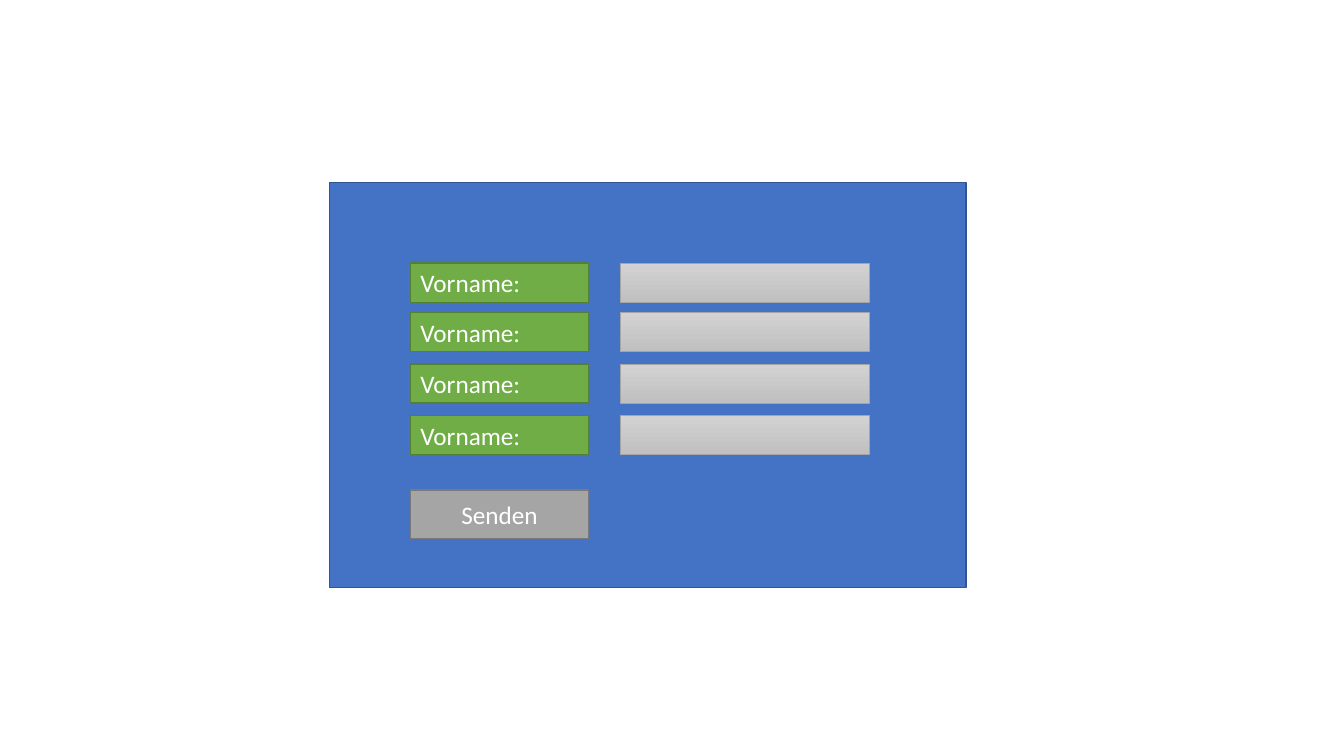
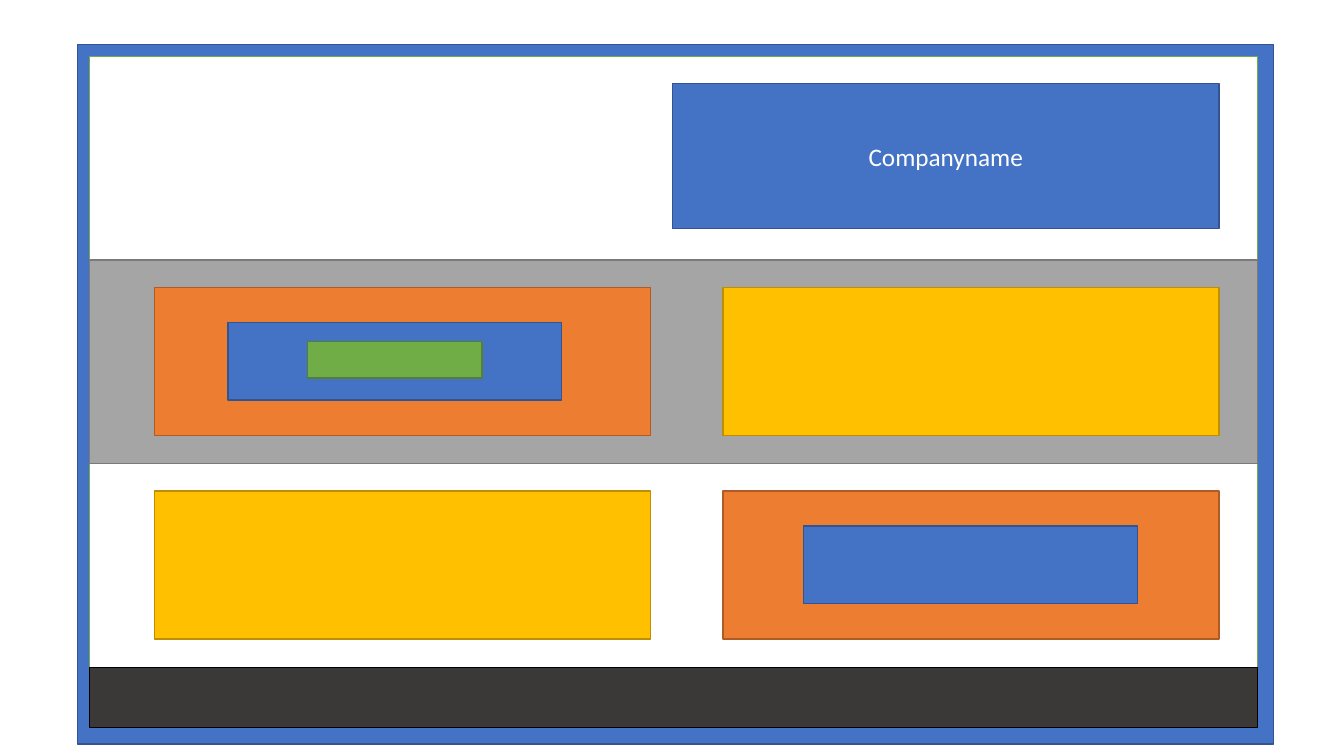
from dataclasses import dataclass
from typing import NamedTuple

from pptx import Presentation
from pptx.dml.color import RGBColor
from pptx.enum.shapes import MSO_SHAPE as Preset
from pptx.enum.text import MSO_ANCHOR as Anchor, PP_ALIGN as Align
from pptx.util import Inches, Pt


class Style(NamedTuple):
    """Fill colours (two make a vertical gradient), line colour and width."""
    fills: tuple
    line: str
    line_width: float = 1


@dataclass(frozen=True)
class Theme:
    """Colours and type shared by both slides."""
    font: str = "Calibri"
    size: float = 18
    text: str = "FFFFFF"
    blue: Style = Style(("4472C4",), "325491")
    green: Style = Style(("70AD47",), "538035")
    grey: Style = Style(("A5A5A5",), "7A7A7A")
    field: Style = Style(("D2D2D2", "C0C0C0"), "A5A5A5", 0.5)
    white: Style = Style(("FFFFFF",), "70AD47")
    dark: Style = Style(("3B3838",), "000000")
    orange: Style = Style(("ED7D31",), "AF5C24")
    yellow: Style = Style(("FFC000",), "BD8E00")


class Box(NamedTuple):
    """A rectangle in inches."""
    left: float
    top: float
    width: float
    height: float

    def inside(self, left, top, width, height):
        """Return a box offset from this box's top left corner."""
        return Box(self.left + left, self.top + top, width, height)


THEME = Theme()


def add_block(slide, box, style, text="", align=Align.CENTER):
    """Draw a styled rectangle, with text if given."""
    shape = slide.shapes.add_shape(Preset.RECTANGLE, *map(Inches, box))
    shape.shadow.inherit = False
    if len(style.fills) == 1:
        shape.fill.solid()
        shape.fill.fore_color.rgb = RGBColor.from_string(style.fills[0])
    else:
        shape.fill.gradient()
        shape.fill.gradient_angle = 270
        for stop, colour in zip(shape.fill.gradient_stops, style.fills):
            stop.color.rgb = RGBColor.from_string(colour)
    shape.line.color.rgb = RGBColor.from_string(style.line)
    shape.line.width = Pt(style.line_width)
    if text:
        frame = shape.text_frame
        frame.word_wrap = True
        frame.vertical_anchor = Anchor.MIDDLE
        paragraph = frame.paragraphs[0]
        paragraph.alignment = align
        run = paragraph.add_run()
        run.text = text
        run.font.name = THEME.font
        run.font.size = Pt(THEME.size)
        run.font.color.rgb = RGBColor.from_string(THEME.text)


def add_form(slide, box):
    """Draw a form with labels, entry fields and a send button."""
    label_left, label_width, row_height = 0.8, 1.77, 0.39
    row_tops = (0.8, 1.29, 1.8, 2.31)
    add_block(slide, box, THEME.blue)
    for top in row_tops:
        label = box.inside(label_left, top, label_width, row_height)
        add_block(slide, label, THEME.green, "Vorname:", Align.LEFT)
        add_block(slide, box.inside(2.88, top, 2.47, row_height), THEME.field)
    button = box.inside(label_left, 3.05, label_width, 0.48)
    add_block(slide, button, THEME.grey, "Senden")


def add_page_layout(slide, box):
    """Draw a page frame with three bands, a footer and nested cards."""
    band_height = 2.02
    page = box.inside(0.12, 0.12, 11.58, 3 * band_height + 0.6)
    header, middle, lower = (
        page.inside(0, row * band_height, page.width, band_height)
        for row in range(3))
    footer = page.inside(0, 3 * band_height, page.width, 0.6)

    add_block(slide, box, THEME.blue)
    for band, style in ((header, THEME.white), (lower, THEME.white),
                        (middle, THEME.grey), (footer, THEME.dark)):
        add_block(slide, band, style)
    add_block(slide, header.inside(5.78, 0.27, 5.42, 1.44), THEME.blue,
              "Companyname")

    (middle_left, middle_right), (lower_left, lower_right) = (
        [band.inside(left, 0.27, 4.92, 1.47) for left in (0.64, 6.28)]
        for band in (middle, lower))
    for card, style in ((middle_left, THEME.orange),
                        (lower_right, THEME.orange),
                        (middle_right, THEME.yellow),
                        (lower_left, THEME.yellow)):
        add_block(slide, card, style)

    panels = [card.inside(left, 0.35, 3.31, 0.77)
              for card, left in ((middle_left, 0.73), (lower_right, 0.8))]
    for panel in panels:
        add_block(slide, panel, THEME.blue)
    add_block(slide, panels[0].inside(0.79, 0.19, 1.73, 0.36), THEME.green)


def main():
    """Build both slides and save the presentation."""
    presentation = Presentation()
    presentation.slide_width = Inches(13.33)
    presentation.slide_height = Inches(7.5)
    blank = presentation.slide_layouts[6]
    for build, box in ((add_form, Box(3.27, 1.81, 6.31, 4.02)),
                       (add_page_layout, Box(0.77, 0.44, 11.86, 6.94))):
        build(presentation.slides.add_slide(blank), box)
    presentation.save("out.pptx")


main()
